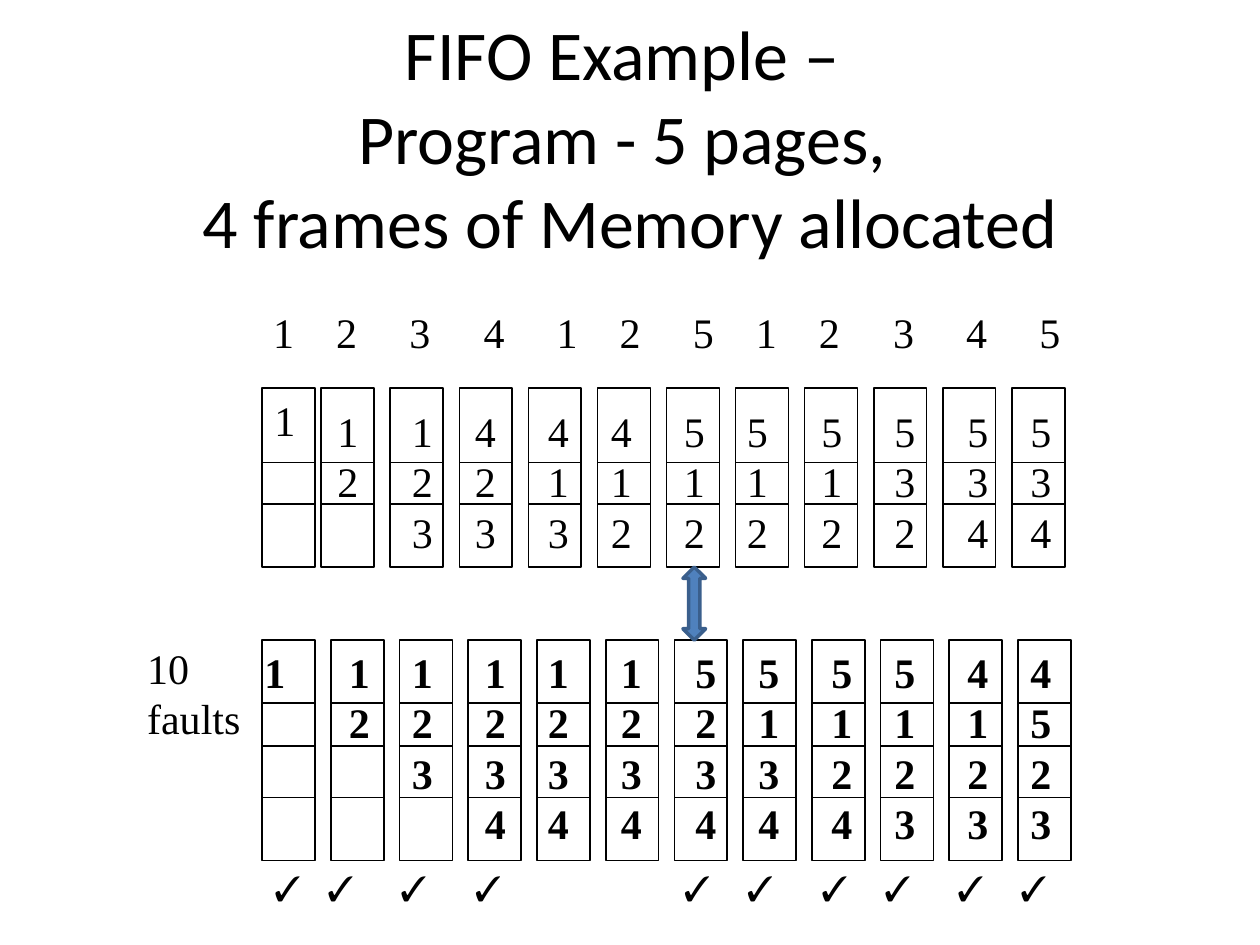
from lxml import etree
from pptx import Presentation
from pptx import util as u
from pptx.dml.color import RGBColor
from pptx.enum import shapes, text
from pptx.oxml import ns

COLORS = {"ink": "000000", "arrow": "4F81BD", "arrow_line": "3A5F8C"}
SERIF = "Times New Roman"
FRAME_WIDTH = 0.42

# Pages held in memory after each reference, oldest frame position first
THREE_FRAMES = ["1", "12", "123", "423", "413", "412",
                "512", "512", "512", "532", "534", "534"]
FOUR_FRAMES = ["1", "12", "123", "1234", "1234", "1234",
               "5234", "5134", "5124", "5123", "4123", "4523"]
THREE_DIGIT_LEFTS = [2.08, 2.58, 3.17, 3.67, 4.25, 4.75,
                     5.33, 5.83, 6.42, 7, 7.58, 8.08]
FOUR_DIGIT_LEFTS = [2, 2.67, 3.17, 3.75, 4.25, 4.83,
                    5.42, 5.92, 6.5, 7, 7.58, 8.08]
FAULT_LEFTS = [2.08, 2.5, 3.08, 3.67, 5.33, 5.83, 6.42, 6.92, 7.5, 8]
REFERENCES = "123412512345"
REFERENCE_TABS = [0.5, 1.08, 1.67, 2.25, 2.75, 3.33,
                  3.83, 4.33, 4.92, 5.5, 6.08]


def rgb(name):
    return RGBColor.from_string(COLORS[name])


def style_run(run, size, font=SERIF, bold=False):
    run.font.name = font
    run.font.size = u.Pt(size)
    run.font.bold = bold
    run.font.color.rgb = rgb("ink")


def add_text(slide, lines, left, top, width, height, size=24, bold=False):
    """Add an unwrapped box with one paragraph per line."""
    box = slide.shapes.add_textbox(*map(u.Inches, (left, top, width, height)))
    frame = box.text_frame
    frame.word_wrap = False
    frame.auto_size = text.MSO_AUTO_SIZE.SHAPE_TO_FIT_TEXT
    for index, line in enumerate(lines):
        paragraph = frame.add_paragraph() if index else frame.paragraphs[0]
        run = paragraph.add_run()
        run.text = line
        style_run(run, size, bold=bold)
    return box


def add_title(slide):
    box = slide.shapes.add_textbox(
        u.Inches(0.5), 0, u.Inches(9), u.Inches(2.17))
    frame = box.text_frame
    frame.word_wrap = True
    frame.vertical_anchor = text.MSO_ANCHOR.MIDDLE
    paragraph = frame.paragraphs[0]
    paragraph.alignment = text.PP_ALIGN.CENTER
    paragraph.font.size = u.Pt(40)
    lines = ["FIFO Example – ", "Program - 5 pages, ",
             "4 frames of Memory allocated"]
    for index, line in enumerate(lines):
        if index:
            paragraph.add_line_break()
        run = paragraph.add_run()
        run.text = line
        style_run(run, 40, "Calibri")
    for line_break in paragraph._p.findall(ns.qn("a:br")):
        properties = etree.SubElement(line_break, ns.qn("a:rPr"))
        properties.set("sz", "4000")


def add_references(slide):
    """Add the reference string, spaced by tab stops."""
    box = add_text(slide, ["\t".join(REFERENCES)], 2.07, 2.38, 6.45, 0.5)
    properties = box.text_frame.paragraphs[0]._p.get_or_add_pPr()
    tabs = etree.SubElement(properties, ns.qn("a:tabLst"))
    for position in REFERENCE_TABS:
        etree.SubElement(tabs, ns.qn("a:tab"),
                         pos=str(u.Inches(position)), algn="l")


def add_memory(slide, left, top, height, dividers):
    """Add one column of page frames as a group."""
    group = slide.shapes.add_group_shape()
    outline = group.shapes.add_shape(
        shapes.MSO_SHAPE.RECTANGLE,
        *map(u.Inches, (left, top, FRAME_WIDTH, height)))
    outline.shadow.inherit = False
    outline.fill.background()
    outline.line.color.rgb = rgb("ink")
    outline.line.width = u.Pt(1)
    for y in dividers:
        line = group.shapes.add_connector(
            shapes.MSO_CONNECTOR.STRAIGHT,
            *map(u.Inches, (left, y, left + FRAME_WIDTH, y)))
        line.line.color.rgb = rgb("ink")
        line.line.width = u.Pt(1)
        etree.SubElement(line._element.spPr, ns.qn("a:effectLst"))


def add_pages(slide, pages, left, top, bold=False):
    add_text(slide, pages, left, top, 0.37, 0.1 + 0.4 * len(pages), bold=bold)


def add_arrow(slide):
    arrow = slide.shapes.add_shape(
        shapes.MSO_SHAPE.UP_DOWN_ARROW,
        *map(u.Inches, (5.42, 4.5, 0.18, 0.58)))
    arrow.shadow.inherit = False
    arrow.fill.solid()
    arrow.fill.fore_color.rgb = rgb("arrow")
    arrow.line.color.rgb = rgb("arrow_line")
    arrow.line.width = u.Pt(2)


def main():
    presentation = Presentation()
    presentation.slide_width = u.Inches(10)
    presentation.slide_height = u.Inches(7.5)
    slide = presentation.slides.add_slide(presentation.slide_layouts[6])

    add_title(slide)
    add_references(slide)

    for index, pages in enumerate(THREE_FRAMES):
        left = 2.55 + 0.548 * (index - 1) if index else 2.08
        add_memory(slide, left, 3.08, 1.42, [3.67, 4])
        add_pages(slide, pages, THREE_DIGIT_LEFTS[index],
                  3.17 if index else 3.08)

    for index, pages in enumerate(FOUR_FRAMES):
        add_memory(slide, 2.08 + 6 / 11 * index, 5.08, 1.75,
                   [5.58, 5.92, 6.33])
        add_pages(slide, pages, FOUR_DIGIT_LEFTS[index], 5.08, bold=True)

    for left in FAULT_LEFTS:
        add_text(slide, ["✓"], left, 6.83, 0.4, 0.43, size=20)
    add_text(slide, ["10", "faults"], 1.07, 5.05, 0.94, 0.9)
    add_arrow(slide)
    presentation.save("out.pptx")


if __name__ == "__main__":
    main()
